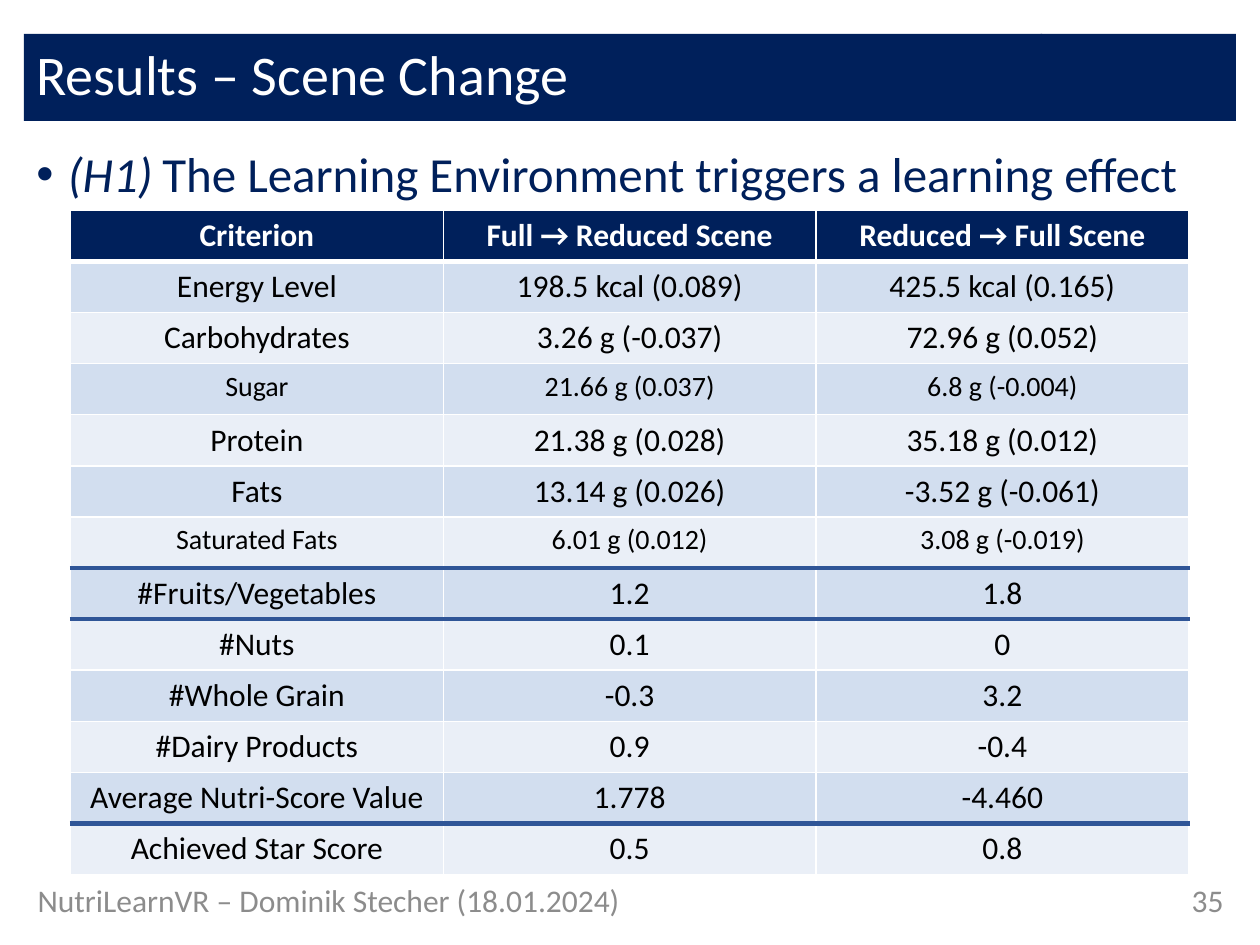
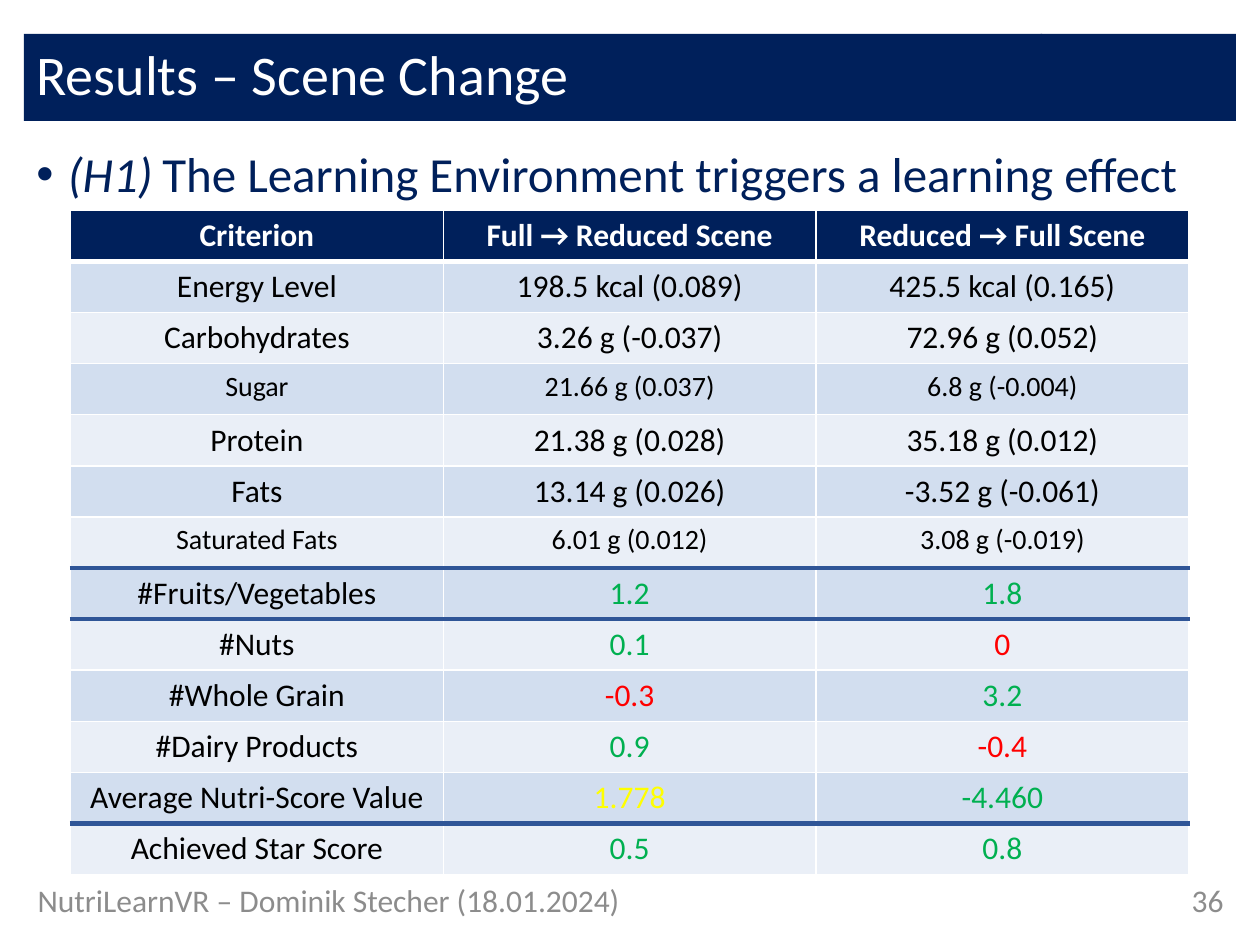
"""Build two result slides comparing a full and a reduced scene."""
from dataclasses import dataclass
from typing import NamedTuple

from lxml import etree
from pptx import Presentation
from pptx.dml.color import RGBColor
from pptx.enum.shapes import MSO_SHAPE
from pptx.enum.text import MSO_ANCHOR, PP_ALIGN
from pptx.oxml.ns import qn
from pptx.util import Pt

RECT = MSO_SHAPE.RECTANGLE
TOP, MIDDLE = MSO_ANCHOR.TOP, MSO_ANCHOR.MIDDLE
LEFT, CENTER, RIGHT = PP_ALIGN.LEFT, PP_ALIGN.CENTER, PP_ALIGN.RIGHT
TITLE_ONLY = 5


@dataclass(frozen=True)
class Theme:
    """Colours and type sizes of the deck."""
    font: str = "Calibri"
    navy: str = "00205B"
    white: str = "FFFFFF"
    black: str = "000000"
    grey: str = "8C8C8C"
    rule: str = "2F5597"
    band_dark: str = "D2DEEF"
    band_light: str = "EAEFF7"
    good: str = "00B050"
    bad: str = "FF0000"
    neutral: str = "FFFF00"
    title_size: float = 32
    body_size: float = 28
    base_size: float = 18
    sub_size: float = 16
    thin: float = 1
    thick: float = 3


class Box(NamedTuple):
    """Place and size in points."""
    x: float
    y: float
    w: float
    h: float

    def lengths(self) -> list:
        """Return the four values as lengths."""
        return [Pt(v) for v in self]


class Criterion(NamedTuple):
    """One table row with the ratings of its two values."""
    name: str
    to_reduced: str
    to_full: str
    ratings: str = "  "
    sub: bool = False
    ruled: bool = False


class Page(NamedTuple):
    """One slide: its number and whether values are coloured."""
    number: int
    rated: bool


T = Theme()
RATING_COLOURS = {" ": T.black, "+": T.good, "-": T.bad, "o": T.neutral}

TITLE = Box(13.7, 19.4, 581.8, 49.7)
BAND = Box(594.7, 19.4, 111.6, 49.7)
BODY = Box(13.7, 82.1, 691.9, 40)
TABLE = Box(40.3, 120.2, 639, 379.6)
FOOTER = Box(14.4, 499.7, 352.1, 28.8)
NUMBER = Box(544.3, 499.7, 162, 28.8)

HEADER = ("Criterion", "Full → Reduced Scene", "Reduced → Full Scene")
CRITERIA = (
    Criterion("Energy Level", "198.5 kcal (0.089)", "425.5 kcal (0.165)"),
    Criterion("Carbohydrates", "3.26 g (-0.037)", "72.96 g (0.052)"),
    Criterion("Sugar", "21.66 g (0.037)", "6.8 g (-0.004)", sub=True),
    Criterion("Protein", "21.38 g (0.028)", "35.18 g (0.012)"),
    Criterion("Fats", "13.14 g (0.026)", "-3.52 g (-0.061)"),
    Criterion("Saturated Fats", "6.01 g (0.012)", "3.08 g (-0.019)", sub=True, ruled=True),
    Criterion("#Fruits/Vegetables", "1.2", "1.8", "++", ruled=True),
    Criterion("#Nuts", "0.1", "0", "+-"),
    Criterion("#Whole Grain", "-0.3", "3.2", "-+"),
    Criterion("#Dairy Products", "0.9", "-0.4", "+-"),
    Criterion("Average Nutri-Score Value", "1.778", "-4.460", "o+", ruled=True),
    Criterion("Achieved Star Score", "0.5", "0.8", "++"),
)
PAGES = (Page(35, False), Page(36, True))


def add_text(p, text: str, *, size: float = T.base_size, colour: str = T.black,
             bold: bool = False, italic: bool = False, align=LEFT) -> None:
    """Append a formatted run to a paragraph."""
    p.alignment = align
    r = p.add_run()
    r.text = text
    r.font.name, r.font.size = T.font, Pt(size)
    r.font.bold, r.font.italic = bold, italic
    r.font.color.rgb = RGBColor.from_string(colour)


def paint(sp, colour: str) -> None:
    """Fill a shape or cell with a solid colour."""
    sp.fill.solid()
    sp.fill.fore_color.rgb = RGBColor.from_string(colour)


def add_box(s, box: Box, anchor=MIDDLE):
    """Add a wrapping text box and return its first paragraph."""
    tf = s.shapes.add_textbox(*box.lengths()).text_frame
    tf.word_wrap = True
    tf.vertical_anchor = anchor
    return tf.paragraphs[0]


def add_title(s, text: str) -> None:
    """Place the title and extend its band to the right margin."""
    sp = s.shapes.title
    sp.left, sp.top, sp.width, sp.height = TITLE.lengths()
    paint(sp, T.navy)
    tf = sp.text_frame
    tf.vertical_anchor = MIDDLE
    p = tf.paragraphs[0]
    p.line_spacing = 0.9
    add_text(p, text, size=T.title_size, colour=T.white)
    band = s.shapes.add_shape(RECT, *BAND.lengths())
    band.shadow.inherit = False
    paint(band, T.navy)
    band.line.fill.background()


def add_hypothesis(s, label: str, text: str) -> None:
    """Add the bulleted hypothesis, its text set at a tab stop."""
    p = add_box(s, BODY, TOP)
    p.line_spacing = 0.9
    pPr = p._p.get_or_add_pPr()
    pPr.set("marL", str(Pt(18)))
    pPr.set("indent", str(-Pt(18)))
    etree.SubElement(pPr, qn("a:buFont"), typeface="Arial")
    etree.SubElement(pPr, qn("a:buChar"), char="•")
    tabs = etree.SubElement(pPr, qn("a:tabLst"))
    etree.SubElement(tabs, qn("a:tab"), pos=str(Pt(72)), algn="l")
    add_text(p, label, size=T.body_size, colour=T.navy, italic=True)
    add_text(p, "\t" + text, size=T.body_size, colour=T.navy)


def add_border(cell, side: str, colour: str, width: float) -> None:
    """Draw one border of a cell."""
    ln = etree.SubElement(cell._tc.get_or_add_tcPr(), qn(f"a:ln{side}"), w=str(Pt(width)))
    etree.SubElement(etree.SubElement(ln, qn("a:solidFill")), qn("a:srgbClr"), val=colour)


def fill_cell(cell, text: str, fill: str, above: tuple, below: tuple, **style) -> None:
    """Set the borders, fill and centred text of a cell."""
    thin = (T.white, T.thin)
    for side, line in zip("LRTB", (thin, thin, above, below)):
        add_border(cell, side, *line)
    paint(cell, fill)
    add_text(cell.text_frame.paragraphs[0], text, align=CENTER, **style)


def add_results(s, rated: bool) -> None:
    """Add the table of criteria."""
    n_rows, n_cols = len(CRITERIA) + 1, len(HEADER)
    table = s.shapes.add_table(n_rows, n_cols, *TABLE.lengths()).table
    table.horz_banding = False
    for col in table.columns:
        col.width = Pt(TABLE.w / n_cols)
    for row in table.rows:
        row.height = Pt(TABLE.h / n_rows)

    above, below = (T.white, T.thin), (T.white, T.thick)
    for j, text in enumerate(HEADER):
        fill_cell(table.cell(0, j), text, T.navy, above, below, colour=T.white, bold=True)
    for i, c in enumerate(CRITERIA, 1):
        above, below = below, (T.rule, T.thick) if c.ruled else (T.white, T.thin)
        fill = T.band_dark if i % 2 else T.band_light
        ratings = " " + c.ratings if rated else " " * n_cols
        for j, (text, rating) in enumerate(zip(c[:n_cols], ratings)):
            fill_cell(table.cell(i, j), text, fill, above, below,
                      size=T.sub_size if c.sub else T.base_size,
                      colour=RATING_COLOURS[rating])


def add_footer(s, number: int) -> None:
    """Add the footer line and slide number."""
    add_text(add_box(s, FOOTER), "NutriLearnVR – Dominik Stecher (18.01.2024)", colour=T.grey)
    add_text(add_box(s, NUMBER), str(number), colour=T.grey, align=RIGHT)


def main() -> None:
    """Build and save the deck."""
    prs = Presentation()
    prs.slide_width, prs.slide_height = Pt(720), Pt(540)
    for page in PAGES:
        s = prs.slides.add_slide(prs.slide_layouts[TITLE_ONLY])
        add_title(s, "Results – Scene Change")
        add_hypothesis(s, "(H1)", "The Learning Environment triggers a learning effect")
        add_results(s, page.rated)
        add_footer(s, page.number)
    prs.save("out.pptx")


if __name__ == "__main__":
    main()
